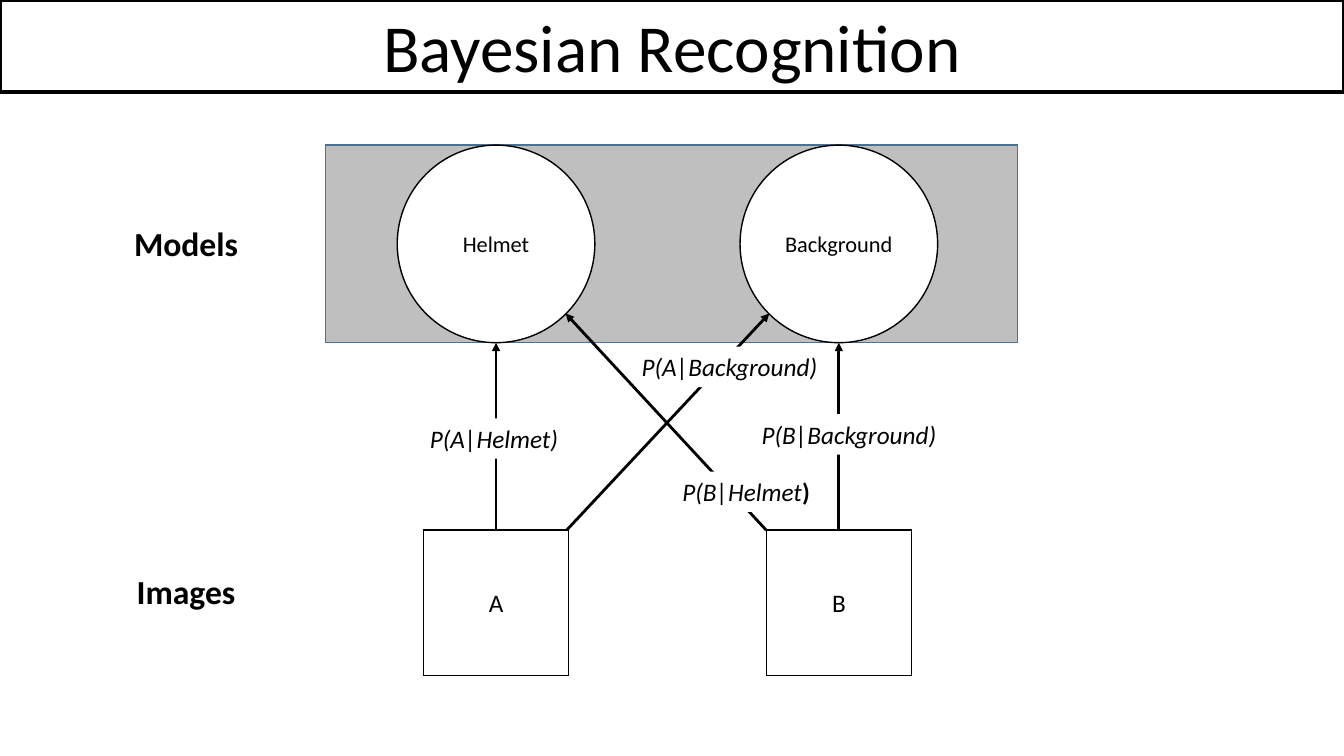
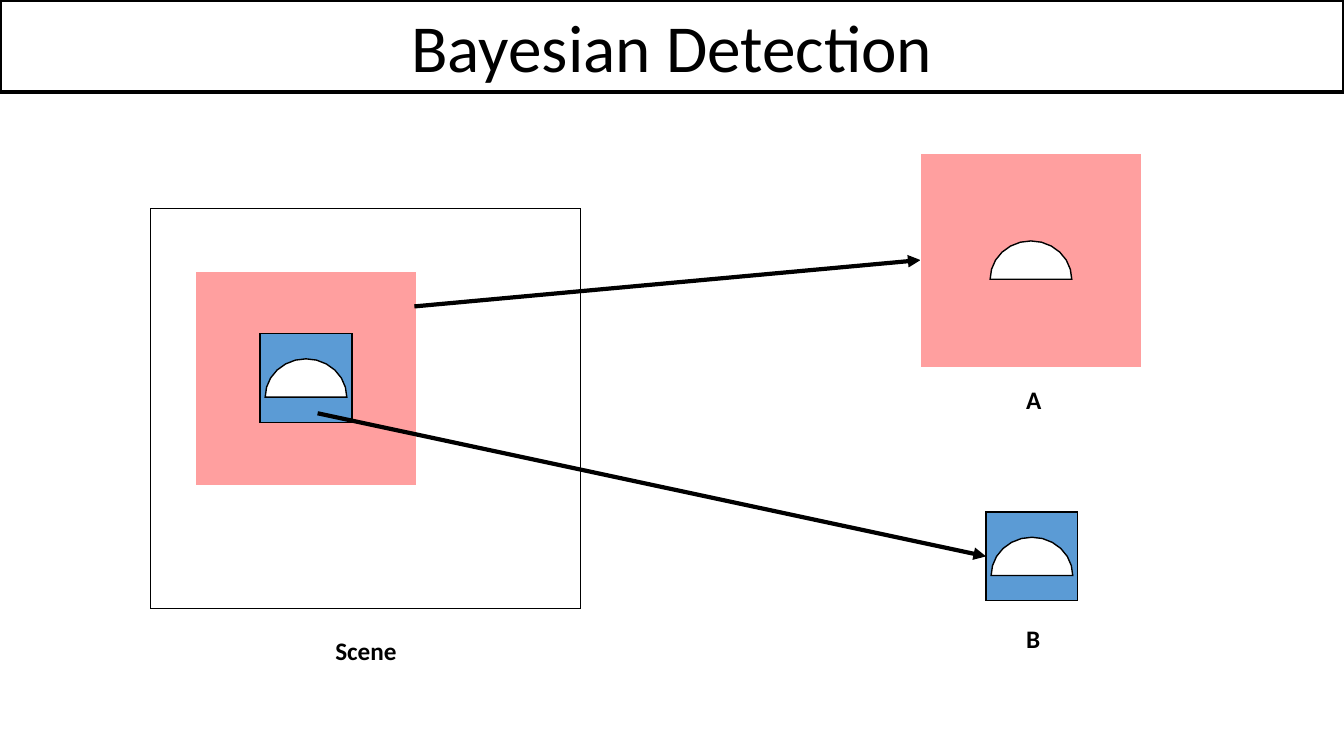
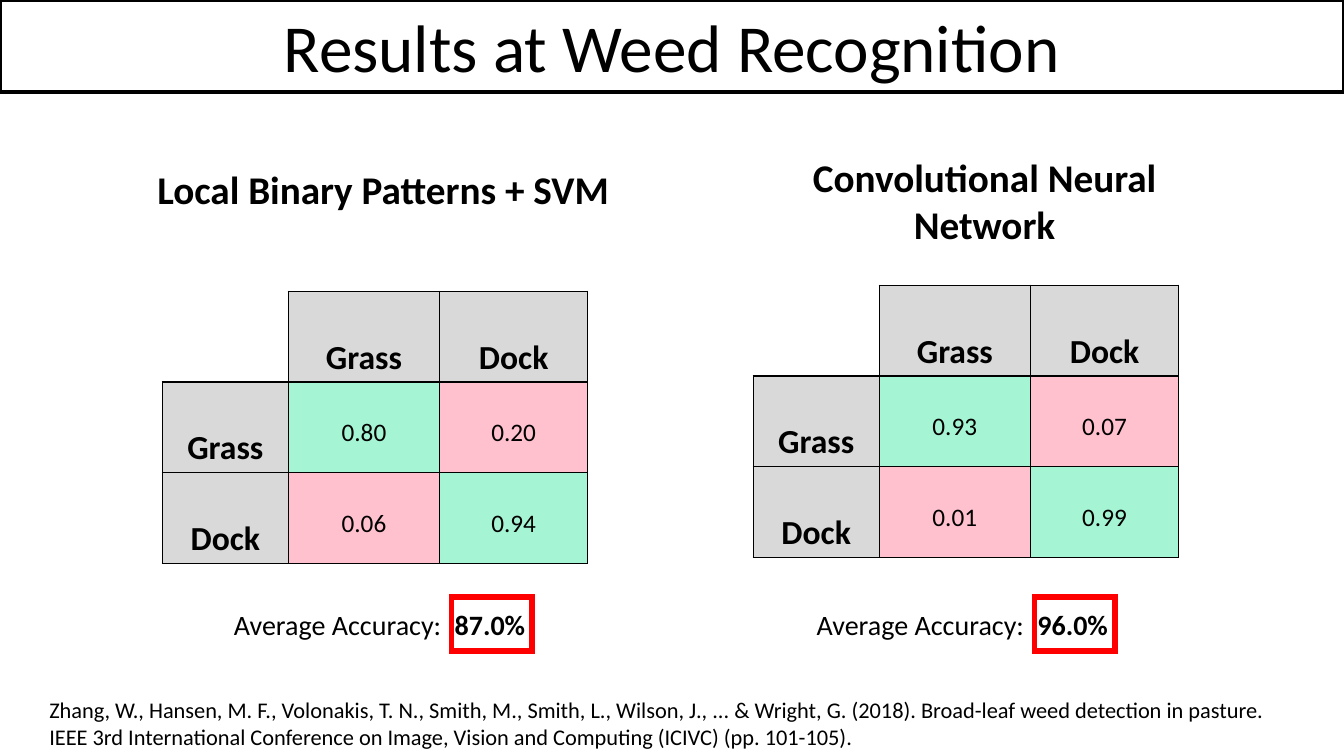
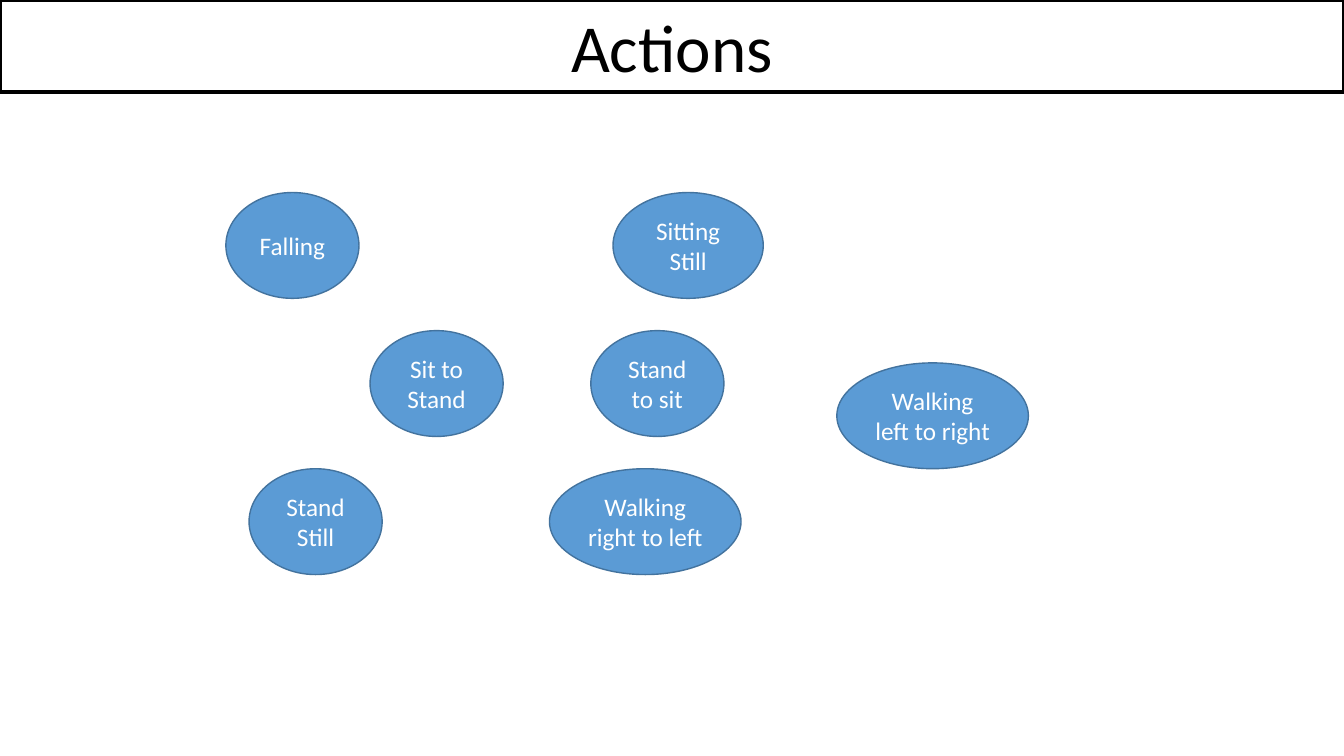
import math

from lxml import etree
from pptx import Presentation
from pptx.dml.color import RGBColor
from pptx.enum.shapes import MSO_CONNECTOR, MSO_SHAPE
from pptx.enum.text import MSO_ANCHOR, MSO_AUTO_SIZE, PP_ALIGN
from pptx.oxml.ns import qn
from pptx.util import Emu, Pt

RECT, ELLIPSE = MSO_SHAPE.RECTANGLE, MSO_SHAPE.OVAL
STRAIGHT = MSO_CONNECTOR.STRAIGHT
TOP, MIDDLE = MSO_ANCHOR.TOP, MSO_ANCHOR.MIDDLE
LEFT, CENTER = PP_ALIGN.LEFT, PP_ALIGN.CENTER
NO_AUTOFIT = MSO_AUTO_SIZE.NONE

SCALE = 9144
SLIDE_WIDTH, SLIDE_HEIGHT = 1333, 750
TITLE_ONLY = 5
FONT = "Calibri"

BLACK, WHITE, RED = "000000", "FFFFFF", "FF0000"
PANEL_GREY, HEADER_GREY = "BFBFBF", "D9D9D9"
BLUE, BLUE_EDGE = "5B9BD5", "43739E"
SCENE_PINK = "FF9F9F"
CORRECT_GREEN, WRONG_PINK = "A5F5D5", "FFC1CE"


def px(length):
    return Emu(round(length * SCALE))


def color(hex_value):
    return RGBColor.from_string(hex_value)


def inside(region, x, y, width=0, height=0):
    return region[0] + x, region[1] + y, width, height


def style_font(font, size, hex_value=BLACK, bold=False, italic=False):
    font.name = FONT
    font.size = Pt(size)
    font.bold = bold
    font.italic = italic
    font.color.rgb = color(hex_value)


def write(holder, text, size, hex_value=BLACK, bold=False, italic=False,
          align=CENTER, anchor=TOP):
    frame = holder.text_frame
    frame.word_wrap = True
    frame.auto_size = NO_AUTOFIT
    frame.vertical_anchor = anchor
    paragraph = frame.paragraphs[0]
    paragraph.add_run().text = text
    paragraph.alignment = align
    style_font(paragraph.font, size, hex_value, bold, italic)
    return paragraph


def paint(shape, fill=None, line=None, width=1):
    shape.shadow.inherit = False
    if fill:
        shape.fill.solid()
        shape.fill.fore_color.rgb = color(fill)
    else:
        shape.fill.background()
    if line:
        shape.line.color.rgb = color(line)
        shape.line.width = Pt(width)
        outline = shape._element.spPr.find(qn("a:ln"))
        etree.SubElement(outline, qn("a:miter"), lim="800000")
    else:
        shape.line.fill.background()
    return shape


def draw(slide, geometry, box, fill=None, line=None, width=1):
    shape = slide.shapes.add_shape(geometry, *map(px, box))
    return paint(shape, fill, line, width)


def caption(slide, box, text, size, **style):
    return write(slide.shapes.add_textbox(*map(px, box)), text, size, **style)


def arrow(slide, start, end, width):
    points = [px(value) for value in (*start[:2], *end[:2])]
    connector = slide.shapes.add_connector(STRAIGHT, *points)
    connector.line.color.rgb = color(BLACK)
    connector.line.width = Pt(width)
    properties = connector._element.spPr
    head = etree.SubElement(properties.find(qn("a:ln")), qn("a:tailEnd"))
    head.set("type", "triangle")
    etree.SubElement(properties, qn("a:effectLst"))


def titled_slide(deck, heading):
    slide = deck.slides.add_slide(deck.slide_layouts[TITLE_ONLY])
    title = slide.shapes.title
    title.left, title.top = px(0), px(0)
    title.width, title.height = px(SLIDE_WIDTH), px(91)
    title.line.color.rgb = color(BLACK)
    title.line.width = Pt(3)
    write(title, heading, 48)
    return slide


def recognition_diagram(slide, region):
    circle_size, square_size, square_top = 196, 144, 382
    helmet_x, background_x = 375, 715
    radius = circle_size // 2
    diagonal = round(radius * math.sqrt(0.5))
    diagonal_y = radius + diagonal
    half_square = square_size // 2

    for name, y in (("Models", 72), ("Images", 417)):
        caption(slide, inside(region, 0, y, 135, 50), name, 24, bold=True)
    draw(slide, RECT, inside(region, 206, 0, 686, circle_size),
         PANEL_GREY, BLUE_EDGE)
    for name, x in (("Helmet", helmet_x), ("Background", background_x)):
        model = draw(slide, ELLIPSE,
                     inside(region, x - radius, 0, circle_size, circle_size),
                     WHITE, BLACK)
        write(model, name, 16, anchor=MIDDLE)

    links = (
        ("P(A|Helmet)", "", helmet_x, (helmet_x, circle_size),
         (295, 271, 156, 40)),
        ("P(B|Background)", "", background_x, (background_x, circle_size),
         (623, 267, 204, 40)),
        ("P(A|Background)", "", helmet_x + half_square - 2,
         (background_x - diagonal, diagonal_y), (504, 200, 205, 40)),
        ("P(B|Helmet", ")", background_x - half_square,
         (helmet_x + diagonal, diagonal_y), (544, 324, 158, 40)),
    )
    for likelihood, bold_end, start_x, end, label_box in links:
        arrow(slide, inside(region, start_x, square_top),
              inside(region, *end), 2)
        label = draw(slide, RECT, inside(region, *label_box), WHITE)
        paragraph = write(label, likelihood, 18, italic=True)
        if bold_end:
            closing = paragraph.add_run()
            closing.text = bold_end
            closing.font.bold, closing.font.italic = True, False

    for name, x in (("A", helmet_x), ("B", background_x)):
        square = draw(slide, RECT,
                      inside(region, x - half_square, square_top,
                             square_size, square_size), WHITE, BLACK)
        write(square, name, 18, anchor=MIDDLE)


def helmet(slide, region):
    half_width, height, steps = 40.5, 38, 12
    center_x, base_y = region[0] + half_width, region[1] + height
    outline = []
    for step in range(steps + 1):
        angle = math.pi * step / steps
        outline.append((px(center_x - half_width * math.cos(angle)),
                        px(base_y - height * math.sin(angle))))
    builder = slide.shapes.build_freeform(*outline[0], scale=1.0)
    builder.add_line_segments(outline[1:], close=True)
    paint(builder.convert_to_shape(), WHITE, BLACK)


def surroundings_patch(slide, region):
    draw(slide, RECT, inside(region, 0, 0, 219, 213), SCENE_PINK, WHITE)


def helmet_patch(slide, region):
    draw(slide, RECT, inside(region, 0, 0, 91, 88), BLUE, BLACK)
    helmet(slide, inside(region, 5, 25))


def detection_diagram(slide, region):
    draw(slide, RECT, inside(region, 0, 55, 427, 397), WHITE, BLACK)
    surroundings_patch(slide, inside(region, 45, 117))
    helmet_patch(slide, inside(region, 109, 179))
    caption(slide, inside(region, 166, 473, 96, 40), "Scene", 18, bold=True)
    for start, end in (((262, 152), (764, 106)), ((166, 258), (829, 400))):
        arrow(slide, inside(region, *start), inside(region, *end), 3)
    helmet_patch(slide, inside(region, 829, 356))
    surroundings_patch(slide, inside(region, 764, 0))
    helmet(slide, inside(region, 833, 87))
    for name, y, width in (("A", 224, 29), ("B", 461, 31)):
        label = draw(slide, RECT, inside(region, 859, y, width, 40),
                     line=WHITE, width=0.75)
        write(label, name, 18, bold=True)


def border_cell(cell, visible_sides):
    properties = cell._tc.get_or_add_tcPr()
    for side in "LRTB":
        line = etree.SubElement(properties, qn(f"a:ln{side}"), w=str(Pt(1)))
        if side in visible_sides:
            fill = etree.SubElement(line, qn("a:solidFill"))
            etree.SubElement(fill, qn("a:srgbClr"), val=BLACK)
        else:
            etree.SubElement(line, qn("a:noFill"))


def confusion_matrix(slide, region, rates):
    classes = ("Grass", "Dock")
    rows = [("", *classes)]
    rows += [(name, *values) for name, values in zip(classes, rates)]
    column_widths, row_height = (125, 150, 147), 90
    box = inside(region, 0, 0, sum(column_widths), row_height * len(rows))
    table = slide.shapes.add_table(len(rows), len(column_widths),
                                   *map(px, box)).table
    table.first_row = table.horz_banding = False
    for column, width in zip(table.columns, column_widths):
        column.width = px(width)
    for r, row in enumerate(rows):
        table.rows[r].height = px(row_height)
        for c, text in enumerate(row):
            cell = table.cell(r, c)
            is_header = r == 0 or c == 0
            border_cell(cell, "LRTB" if text else "RB")
            cell.margin_bottom = px(3)
            cell.fill.solid()
            if not text:
                fill = WHITE
            elif is_header:
                fill = HEADER_GREY
            else:
                fill = CORRECT_GREEN if r == c else WRONG_PINK
            cell.fill.fore_color.rgb = color(fill)
            if text:
                paragraph = cell.text_frame.paragraphs[0]
                paragraph.add_run().text = text
                paragraph.alignment = CENTER
                paragraph.line_spacing = 2.0
                style_font(paragraph.font, 24 if is_header else 18,
                           bold=is_header)


def accuracy_line(slide, region, accuracy):
    line = draw(slide, RECT, inside(region, 0, 0, 327, 44),
                line=WHITE, width=4)
    line.text_frame.margin_left = px(15)
    paragraph = line.text_frame.paragraphs[0]
    tabs = etree.SubElement(paragraph._p.get_or_add_pPr(), qn("a:tabLst"))
    etree.SubElement(tabs, qn("a:tab"), pos=str(px(219)), algn="l")
    write(line, "Average Accuracy:\t", 20, align=LEFT)
    value = paragraph.add_run()
    value.text = accuracy
    value.font.bold = True
    draw(slide, RECT, inside(region, 231, -6, 80, 54), line=RED, width=4)


def method_results(slide, heading, heading_box, matrix_at, rates,
                   accuracy_at, accuracy):
    caption(slide, heading_box, heading, 28, bold=True)
    confusion_matrix(slide, matrix_at, rates)
    accuracy_line(slide, accuracy_at, accuracy)


def action_bubbles(slide, region):
    actions = (
        ("Falling", 0, 0, 132),
        ("Sitting Still", 384, 0, 149),
        ("Sit to Stand", 143, 137, 132),
        ("Stand to sit", 362, 137, 132),
        ("Walking left to right", 606, 169, 190),
        ("Walking right to left", 321, 274, 190),
        ("Stand Still", 23, 274, 132),
    )
    for action, x, y, width in actions:
        bubble = draw(slide, ELLIPSE, inside(region, x, y, width, 105),
                      BLUE, BLUE_EDGE)
        write(bubble, action, 18, WHITE, anchor=MIDDLE)


def main():
    deck = Presentation()
    deck.slide_width, deck.slide_height = px(SLIDE_WIDTH), px(SLIDE_HEIGHT)

    recognition_diagram(titled_slide(deck, "Bayesian Recognition"), (117, 144))
    detection_diagram(titled_slide(deck, "Bayesian Detection"), (149, 152))

    results = titled_slide(deck, "Results at Weed Recognition")
    method_results(results, "Local Binary Patterns + SVM",
                   (120, 159, 520, 57), (161, 289),
                   (("0.80", "0.20"), ("0.06", "0.94")), (217, 598), "87.0%")
    method_results(results, "Convolutional Neural Network",
                   (755, 147, 443, 104), (747, 283),
                   (("0.93", "0.07"), ("0.01", "0.99")), (795, 598), "96.0%")
    caption(results, (39, 686, 1249, 64),
            "Zhang, W., Hansen, M. F., Volonakis, T. N., Smith, M., Smith, L., "
            "Wilson, J., ... & Wright, G. (2018). Broad-leaf weed detection in "
            "pasture. IEEE 3rd International Conference on Image, Vision and "
            "Computing (ICIVC) (pp. 101-105).", 16, align=LEFT)

    action_bubbles(titled_slide(deck, "Actions"), (224, 191))
    deck.save("out.pptx")


if __name__ == "__main__":
    main()
